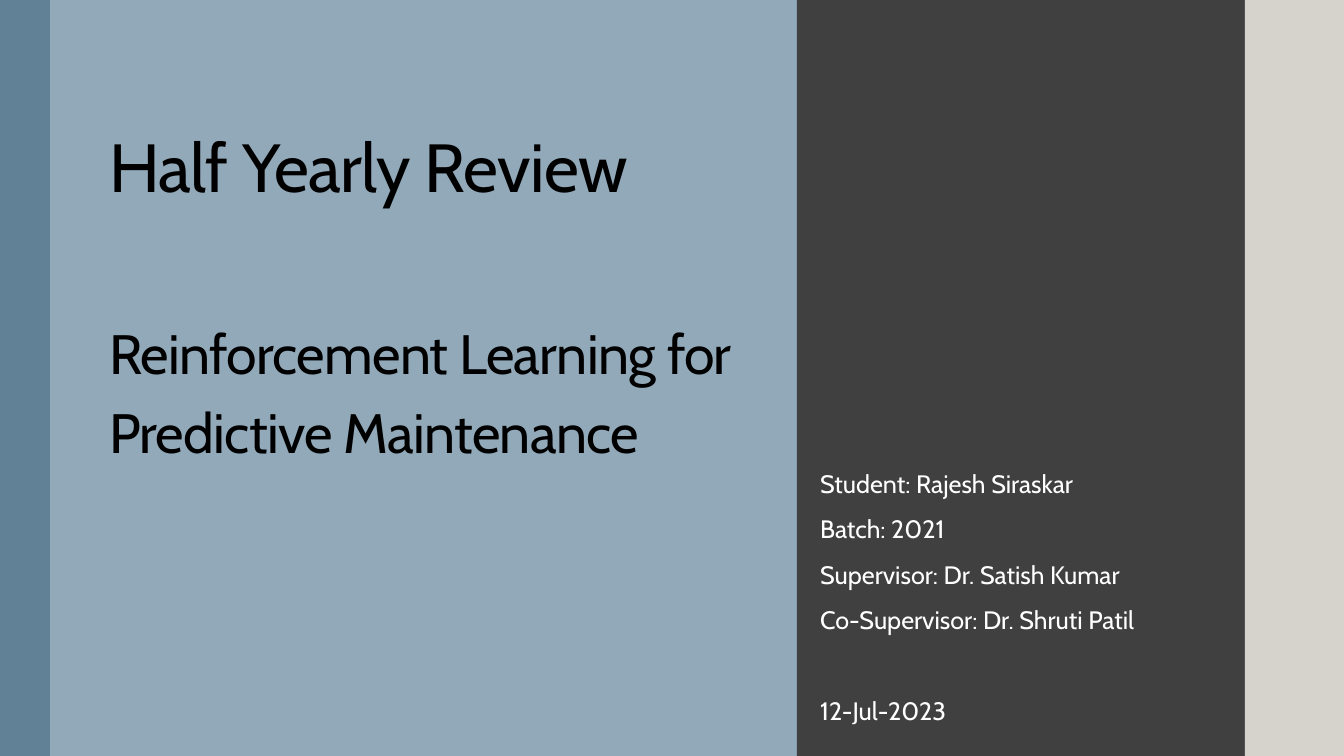
import pptx
import pptx.util
import pptx.dml.color
import pptx.enum.shapes
import pptx.enum.text

RGBColor = pptx.dml.color.RGBColor
Pt = pptx.util.Pt

PX = 914400 / 100.8
FONT = "Cabin"
BACKGROUND = RGBColor(0xDC, 0xD7, 0xCC)
PALE_BLUE = RGBColor(0x92, 0xA9, 0xB9)
DEEP_BLUE = RGBColor(0x61, 0x81, 0x97)
CHARCOAL = RGBColor(0x40, 0x40, 0x40)
SAND = RGBColor(0xD6, 0xD3, 0xCC)
BLACK = RGBColor(0x00, 0x00, 0x00)
WHITE = RGBColor(0xFF, 0xFF, 0xFF)

PAGE_WIDTH, PAGE_HEIGHT = 1344, 756
PANELS = [
    (0, 50, DEEP_BLUE),
    (50, 747, PALE_BLUE),
    (797, 448, CHARCOAL),
    (1245, 99, SAND),
]
# Text, size and space before, in points
TITLE_LINES = [
    ("Half Yearly Review", 48.6, 0),
    ("Reinforcement Learning for Predictive Maintenance", 39.6, 71),
]
DETAIL_LINES = [
    ("Student: Rajesh Siraskar", 18, 0),
    ("Batch: 2021", 18, 0),
    ("Supervisor: Dr. Satish Kumar", 18, 0),
    ("Co-Supervisor: Dr. Shruti Patil", 18, 0),
    ("12-Jul-2023", 18, 33),
]


def px(length):
    return pptx.util.Emu(round(length * PX))


def add_panel(page, left, width, color):
    """Draw a full-height band."""
    panel = page.shapes.add_shape(
        pptx.enum.shapes.MSO_SHAPE.RECTANGLE,
        px(left), px(0), px(width), px(PAGE_HEIGHT))
    panel.shadow.inherit = False
    panel.fill.solid()
    panel.fill.fore_color.rgb = color
    panel.line.fill.background()


def place(page, box, left, top, width, height):
    """Position a placeholder and bring it in front of the panels."""
    box.left, box.top, box.width, box.height = map(px, (left, top, width, height))
    page.shapes._spTree.append(box._element)


def write_lines(box, lines, color, line_spacing, indent=0, tracking=0):
    """Fill a box with left-aligned paragraphs; tracking is in points."""
    frame = box.text_frame
    frame.word_wrap = True
    frame.auto_size = pptx.enum.text.MSO_AUTO_SIZE.NONE
    frame.vertical_anchor = pptx.enum.text.MSO_ANCHOR.TOP
    for number, (text, size, space_before) in enumerate(lines):
        para = frame.add_paragraph() if number else frame.paragraphs[0]
        span = para.add_run()
        span.text = text
        para.alignment = pptx.enum.text.PP_ALIGN.LEFT
        para.line_spacing = line_spacing
        para.space_before = Pt(space_before)
        para.font.name = FONT
        para.font.size = Pt(size)
        para.font.color.rgb = color
        if indent:
            para._p.get_or_add_pPr().set("marL", str(px(indent)))
        if tracking:
            span._r.get_or_add_rPr().set("spc", str(round(tracking * 100)))


def main():
    deck = pptx.Presentation()
    deck.slide_width, deck.slide_height = px(PAGE_WIDTH), px(PAGE_HEIGHT)
    page = deck.slides.add_slide(deck.slide_layouts[0])
    page.background.fill.solid()
    page.background.fill.fore_color.rgb = BACKGROUND
    for left, width, color in PANELS:
        add_panel(page, left, width, color)

    title, details = page.placeholders
    place(page, title, 99, 103, 668, 380)
    write_lines(title, TITLE_LINES, BLACK, 1.2, tracking=-0.5)
    place(page, details, 797, 448, 448, 280)
    write_lines(details, DETAIL_LINES, WHITE, 1.5, indent=13)
    deck.save("out.pptx")


if __name__ == "__main__":
    main()
